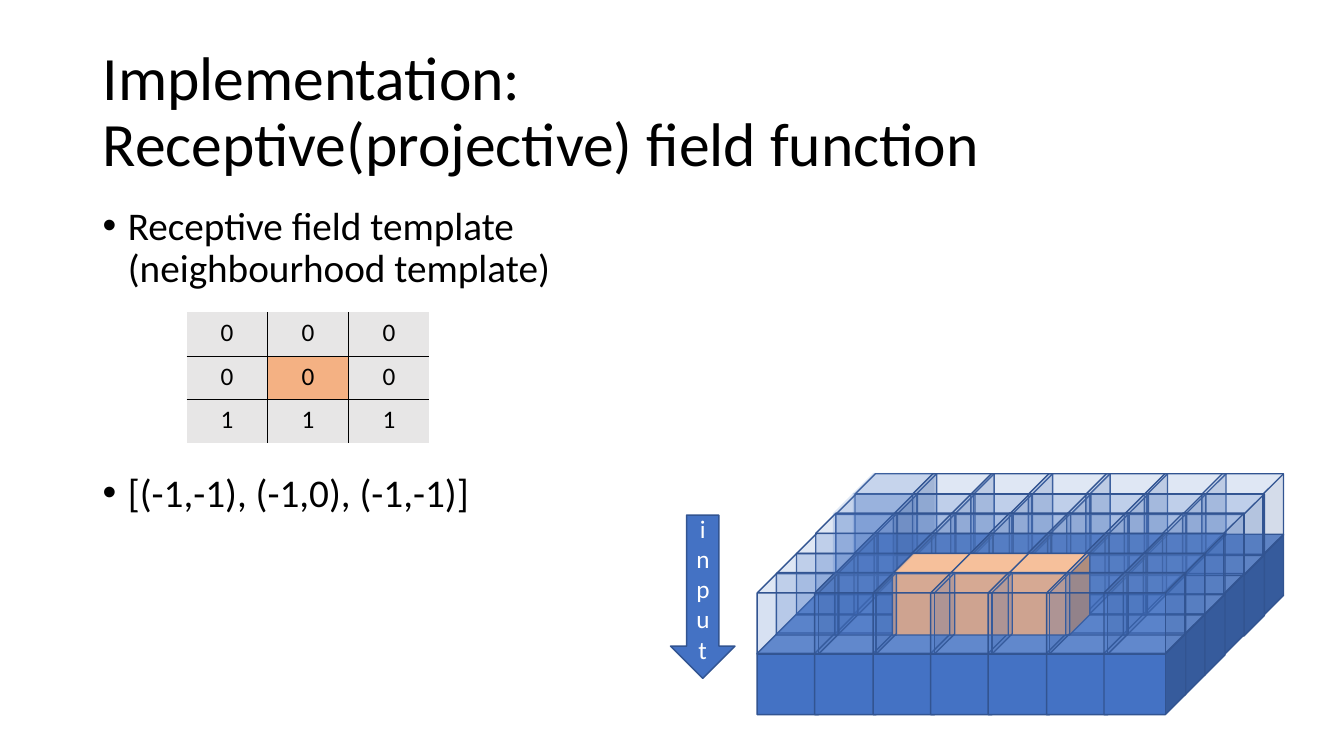
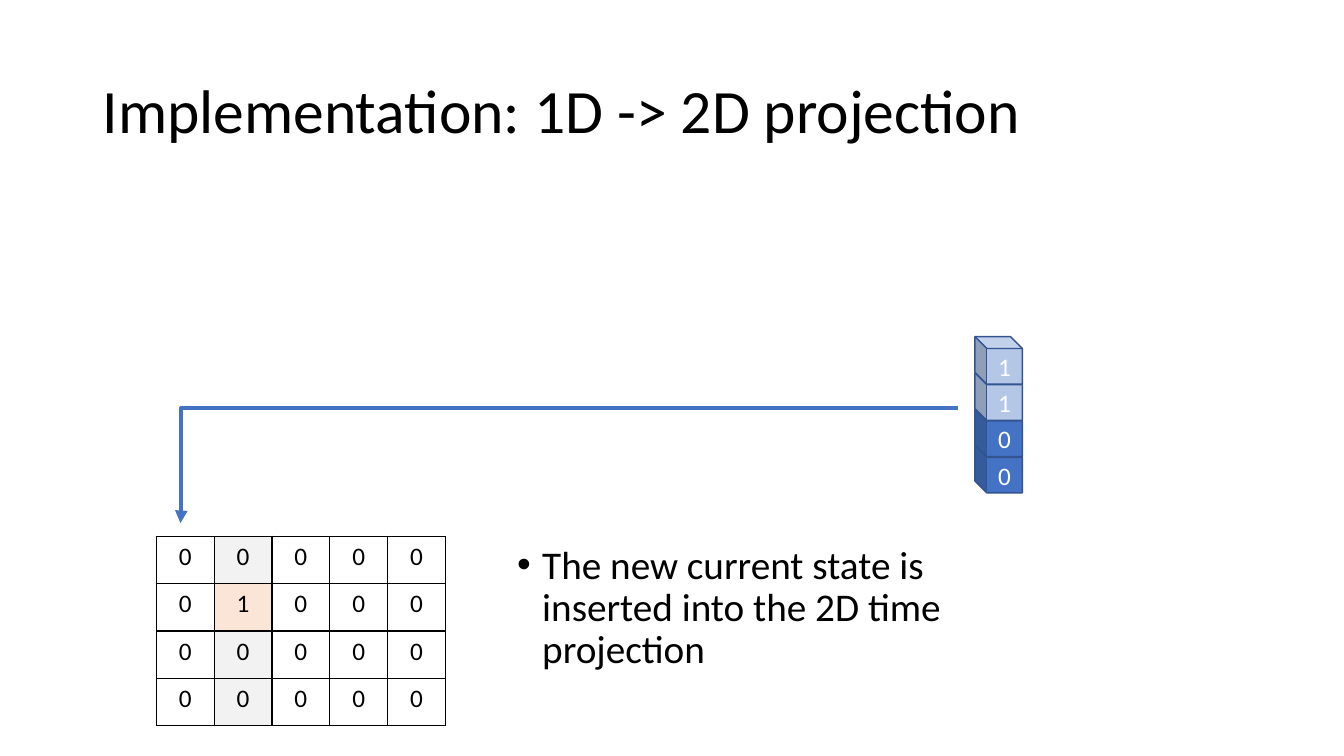
from lxml import etree
from pptx import Presentation
from pptx.dml.color import RGBColor
from pptx.enum.shapes import MSO_CONNECTOR, MSO_SHAPE
from pptx.enum.text import MSO_ANCHOR, PP_ALIGN
from pptx.oxml.ns import qn
from pptx.util import Pt

CUBE, DOWN_ARROW = MSO_SHAPE.CUBE, MSO_SHAPE.DOWN_ARROW
ELBOW = MSO_CONNECTOR.ELBOW
LEFT, CENTER = PP_ALIGN.LEFT, PP_ALIGN.CENTER
TOP, MIDDLE = MSO_ANCHOR.TOP, MSO_ANCHOR.MIDDLE

EMU_PER_PX = 9144  # 100 px to the inch
FONT = "Calibri"
COLORS = {
    "text": "000000",
    "white": "FFFFFF",
    "blue": "4472C4",
    "edge": "325491",
    "pale_blue": "B4C7E7",
    "orange": "F4B183",
    "pale_orange": "FBE5D6",
    "grey": "E7E6E6",
    "pale_grey": "F2F2F2",
}

# Lattice of cubes on the first slide
CUBE_SIZE = 81
LATTICE_ROWS, LATTICE_COLS = 6, 7
COL_STEP, ROW_SHIFT, ROW_DROP = 57.33, 19.4, 19.7


def px(length):
    return round(length * EMU_PER_PX)


def box(left, top, width, height):
    return [px(length) for length in (left, top, width, height)]


def rgb(name):
    return RGBColor.from_string(COLORS[name])


def sub(parent, tag, **attributes):
    return etree.SubElement(parent, qn(tag), attributes)


# Text
def write_text(frame, text, size=18, color="text", align=CENTER, anchor=MIDDLE,
               line_spacing=None, gap=0, bullet=False):
    """Write one paragraph per line of text; gap is the space between them."""
    frame.word_wrap = True
    frame.vertical_anchor = anchor
    for index, line in enumerate(text.split("\n")):
        paragraph = frame.add_paragraph() if index else frame.paragraphs[0]
        paragraph.text = line
        if bullet:
            properties = paragraph._p.get_or_add_pPr()
            properties.set("marL", str(px(25)))
            properties.set("indent", str(px(-25)))
            sub(properties, "a:buFont", typeface="Arial")
            sub(properties, "a:buChar", char="•")
        paragraph.alignment = align
        if line_spacing:
            paragraph.line_spacing = line_spacing
        if index:
            paragraph.space_before = Pt(gap)
        for run in paragraph.runs:
            run.font.size = Pt(size)
            run.font.name = FONT
            run.font.color.rgb = rgb(color)


def add_title(slide, text):
    title = slide.shapes.add_textbox(*box(92, 40, 1150, 145))
    write_text(title.text_frame, text, size=44, align=LEFT, line_spacing=0.9)


def add_bullets(slide, place, text, gap=0):
    bullets = slide.shapes.add_textbox(*box(*place))
    write_text(bullets.text_frame, text, size=28, align=LEFT, anchor=TOP,
               line_spacing=0.9, gap=gap, bullet=True)


# Shapes
def add_solid(slide, kind, place, fill="blue", opacity=100, outlined=True):
    solid = slide.shapes.add_shape(kind, *box(*place))
    solid.shadow.inherit = False
    solid.fill.solid()
    solid.fill.fore_color.rgb = rgb(fill)
    if opacity < 100:
        color = solid.element.spPr.find(qn("a:solidFill")).find(qn("a:srgbClr"))
        sub(color, "a:alpha", val=str(opacity * 1000))
    if outlined:
        solid.line.color.rgb = rgb("edge")
        solid.line.width = Pt(1)
    else:
        solid.line.fill.background()
    return solid


def add_lattice_layer(slide, top, opacity, shade_opacity, special):
    """Draw one layer of cubes; special maps (row, column) to its own format."""
    def shade(left, shade_top):
        add_solid(slide, CUBE, (left, shade_top, CUBE_SIZE, CUBE_SIZE),
                  opacity=shade_opacity, outlined=False)

    for row in range(LATTICE_ROWS):
        for col in range(LATTICE_COLS):
            left = round(848 + col * COL_STEP - row * ROW_SHIFT)
            cube_top = round(top + row * ROW_DROP)
            look = {"opacity": opacity, **special.get((row, col), {})}
            add_solid(slide, CUBE, (left, cube_top, CUBE_SIZE, CUBE_SIZE), **look)
            if (row, col) == (0, 0):
                shade(846, top - 1)
    shade(826, top + 19)


def add_elbow_arrow(slide, start, end, bend):
    arrow = slide.shapes.add_connector(ELBOW, *box(*start, *end))
    arrow.line.color.rgb = rgb("blue")
    arrow.line.width = Pt(3)
    properties = arrow.element.spPr
    sub(properties.find(qn("a:prstGeom")).find(qn("a:avLst")), "a:gd",
        name="adj1", fmla=f"val {bend}")
    sub(properties.find(qn("a:ln")), "a:tailEnd", type="triangle")
    sub(properties, "a:effectLst")


# Tables
def set_border(cell, side, visible):
    line = sub(cell._tc.get_or_add_tcPr(), f"a:ln{side}", w=str(Pt(1)))
    if visible:
        sub(sub(line, "a:solidFill"), "a:srgbClr", val=COLORS["text"])
    else:
        sub(line, "a:noFill")


def add_grid(slide, place, values, fill, special, framed):
    """Draw a table of digits; special maps (row, column) to a fill."""
    rows, cols = len(values), len(values[0])
    left, top, width, height = box(*place)
    grid = slide.shapes.add_table(rows, cols, left, top, width, height).table
    grid.first_row = grid.horz_banding = False
    for column in grid.columns:
        column.width = width // cols
    for row in grid.rows:
        row.height = height // rows
    for r, digits in enumerate(values):
        for c, digit in enumerate(digits):
            cell = grid.cell(r, c)
            write_text(cell.text_frame, digit, anchor=TOP)
            inner = {"L": c > 0, "R": c < cols - 1, "T": r > 0, "B": r < rows - 1}
            for side, is_inner in inner.items():
                set_border(cell, side, framed or is_inner)
            cell.fill.solid()
            cell.fill.fore_color.rgb = rgb(special.get((r, c), fill))


# Slides
def build_field_slide(slide):
    add_title(slide, "Implementation: \vReceptive(projective) field function")
    add_bullets(slide, (92, 200, 514, 476),
                "Receptive field template (neighbourhood template)\n"
                "[(-1,-1), (-1,0), (-1,-1)]", gap=130)
    add_grid(slide, (185, 310, 241, 130), ["000", "000", "111"], "grey",
             {(1, 1): "orange"}, framed=False)

    receptive = {"fill": "orange", "opacity": 100}
    add_lattice_layer(slide, 530, 100, 17, {(3, 3): receptive})
    add_lattice_layer(slide, 470, 21, 21,
                      {(3, 3): {"opacity": 25},
                       **{(4, col): receptive for col in (2, 3, 4)}})

    input_arrow = add_solid(slide, DOWN_ARROW, (665, 511, 64, 162))
    write_text(input_arrow.text_frame, "input", color="white")


def build_projection_slide(slide):
    add_title(slide, "Implementation: 1D -> 2D projection")

    # Column of states, from the bottom up
    states = [("0", "blue"), ("0", "blue"), ("1", "pale_blue"), ("1", "pale_blue")]
    for level, (digit, fill) in enumerate(states):
        state = add_solid(slide, CUBE, (967, 442 - 36 * level, 47, 47), fill)
        state.element.spPr.xfrm.set("flipH", "1")
        write_text(state.text_frame, digit, color="white")

    current = {(row, 1): "pale_grey" for row in range(4)}
    current[1, 1] = "pale_orange"
    add_grid(slide, (155, 532, 287, 188), ["00000", "01000", "00000", "00000"],
             "white", current, framed=True)
    add_elbow_arrow(slide, (950, 405), (179, 519), bend=99900)
    add_bullets(slide, (503, 536, 520, 157),
                "The new current state is inserted into the 2D time projection")


def main():
    deck = Presentation()
    deck.slide_width, deck.slide_height = px(1333), px(750)
    blank = deck.slide_layouts[6]
    for build in (build_field_slide, build_projection_slide):
        build(deck.slides.add_slide(blank))
    deck.save("out.pptx")


if __name__ == "__main__":
    main()
